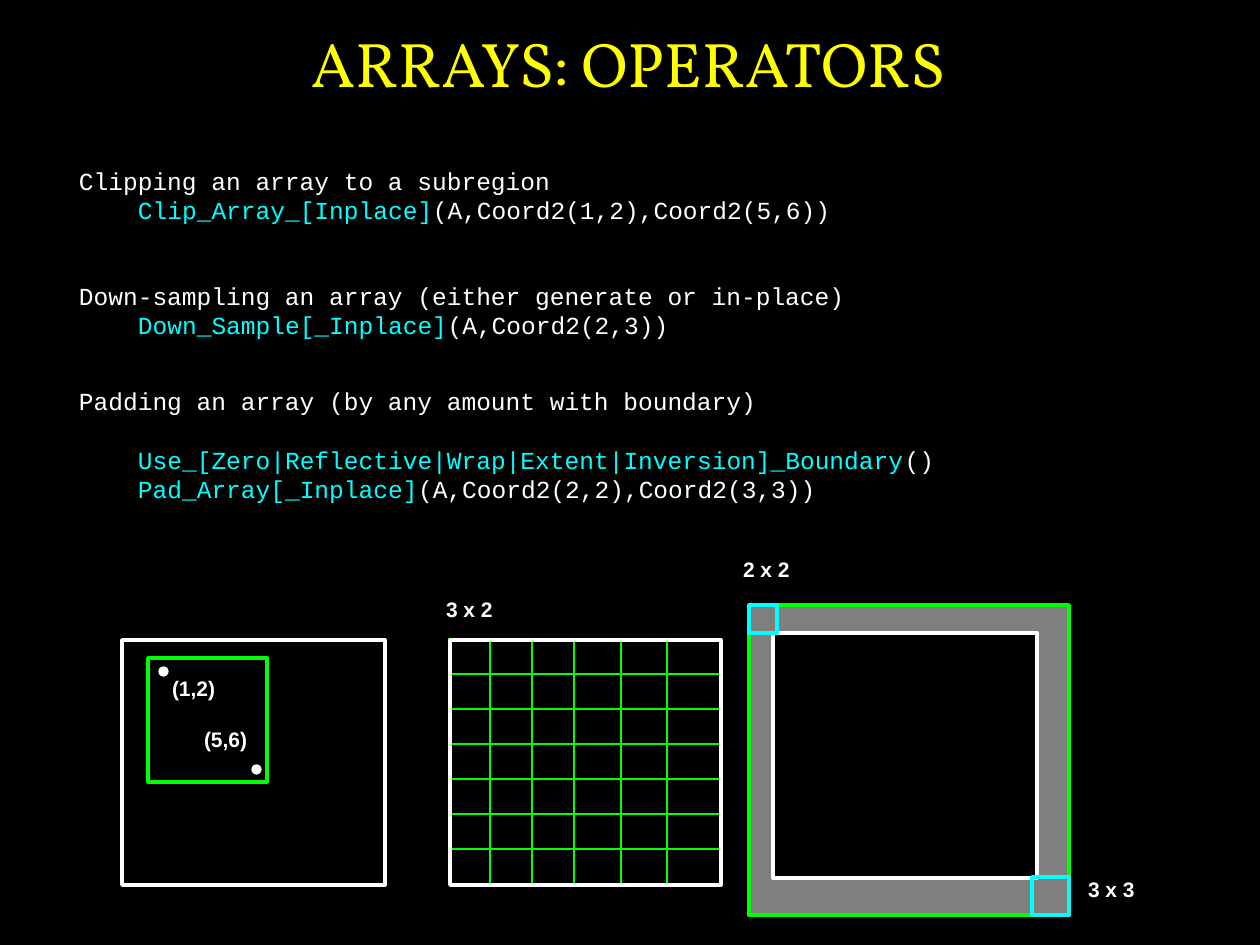
from pptx import Presentation
from pptx import util as u
from pptx.dml.color import RGBColor
from pptx.enum import shapes, text

SCALE = 914400 / 126
BLACK, WHITE, GREY = "000000", "FFFFFF", "7F7F7F"
GREEN, CYAN, YELLOW = "00FF00", "00FFFF", "FFFF00"

CODE_BLOCKS = [
    ((67, 158, 1173, 84), "Clipping an array to a subregion", 0,
     [("Clip_Array_[Inplace]", "(A,Coord2(1,2),Coord2(5,6))")]),
    ((67, 273, 1173, 116), "Down-sampling an array (either generate or in-place)", 0,
     [("Down_Sample[_Inplace]", "(A,Coord2(2,3))")]),
    ((67, 378, 1173, 189), "Padding an array (by any amount with boundary)", 16.8,
     [("Use_[Zero|Reflective|Wrap|Extent|Inversion]_Boundary", "()"),
      ("Pad_Array[_Inplace]", "(A,Coord2(2,2),Coord2(3,3))")]),
]


def px(length):
    """Turn px into EMU."""
    return u.Emu(round(length * SCALE))


def color(value):
    """Turn a hex string into a colour."""
    return RGBColor.from_string(value)


def add_run(para, words, size, font, tint, bold=False):
    """Append one formatted run to a paragraph."""
    span = para.add_run()
    span.text = words
    span.font.size, span.font.name, span.font.bold = u.Pt(size), font, bold
    span.font.color.rgb = color(tint)


def add_frame(parent, box, margins, wrap=True):
    """Add an empty text box and return its text frame."""
    frame = parent.shapes.add_textbox(*map(px, box)).text_frame
    frame.margin_left, frame.margin_top, frame.margin_right, frame.margin_bottom = map(px, margins)
    frame.word_wrap = wrap
    return frame


def add_outline(parent, box, line, fill=None, weight=2, kind=shapes.MSO_SHAPE.RECTANGLE):
    """Add an outlined shape, filled when a fill is given."""
    shape = parent.shapes.add_shape(kind, *map(px, box))
    shape.shadow.inherit = False
    shape.line.color.rgb = color(line)
    shape.line.width = u.Pt(weight)
    if fill:
        shape.fill.solid()
        shape.fill.fore_color.rgb = color(fill)
    else:
        shape.fill.background()


def add_label(parent, left, top, words):
    """Add a small bold label."""
    frame = add_frame(parent, (left, top, 58, 25), (5, 0, 5, 0), wrap=False)
    frame.auto_size = text.MSO_AUTO_SIZE.SHAPE_TO_FIT_TEXT
    add_run(frame.paragraphs[0], words, 12, "Arial", WHITE, bold=True)


def add_title(page, box, words):
    """Add the centred slide title."""
    frame = add_frame(page, box, (13, 8, 18, 8))
    frame.vertical_anchor = text.MSO_ANCHOR.MIDDLE
    para = frame.paragraphs[0]
    para.alignment = text.PP_ALIGN.CENTER
    add_run(para, words, 36, "Vollkorn", YELLOW)


def add_code(page, box, heading, gap, calls):
    """Add a heading followed by indented calls."""
    frame = add_frame(page, box, (12, 8, 18, 8))
    para = frame.paragraphs[0]
    para.line_spacing = u.Pt(16.8)
    add_run(para, heading, 14, "Courier New", WHITE)
    for index, (name, arguments) in enumerate(calls):
        para = frame.add_paragraph()
        para.line_spacing = u.Pt(16.8)
        para.space_before = u.Pt(0 if index else gap)
        para._p.get_or_add_pPr().set("marL", str(px(59)))
        add_run(para, name, 14, "Courier New", CYAN)
        add_run(para, arguments, 14, "Courier New", WHITE)


def add_clipping(page, box):
    """Draw an array with the clipped subregion and its corners."""
    left, top, width, height = box
    group = page.shapes.add_group_shape()
    add_outline(group, box, WHITE, BLACK)
    add_outline(group, (left + 26, top + 18, 119, 124), GREEN, BLACK)
    add_label(group, left + 45, top + 36, "(1,2)")
    add_label(group, left + 77, top + 87, "(5,6)")
    for across, down in ((37, 27), (130, 125)):
        add_outline(group, (left + across, top + down, 9, 9), WHITE, WHITE, 0.75,
                    shapes.MSO_SHAPE.OVAL)


def add_sampling(page, box):
    """Draw an array divided into sampling cells."""
    left, top, width, height = box
    group = page.shapes.add_group_shape()
    for row in range(7):
        for across in (0, 41, 83, 125, 172, 218):
            add_outline(group, (left - 1 + across, top - 1 + 35 * row, 53, 35), GREEN, BLACK, 1)
    add_outline(group, box, WHITE)
    add_label(group, left - 9, top - 43, "3 x 2")


def add_padding(page, box):
    """Draw an array inside its padded border."""
    left, top, width, height = box
    group = page.shapes.add_group_shape()
    add_outline(group, box, GREEN, GREY)
    add_outline(group, (left + 24, top + 28, 264, 245), WHITE, BLACK)
    add_outline(group, (left, top, 28, 28), CYAN)
    add_outline(group, (left + width - 37, top + height - 38, 37, 38), CYAN)
    add_label(group, left - 11, top - 48, "2 x 2")
    add_label(group, left + width + 14, top + height - 38, "3 x 3")


def main():
    """Build and save the slide."""
    deck = Presentation()
    deck.slide_width, deck.slide_height = px(1260), px(945)
    page = deck.slides.add_slide(deck.slide_layouts[6])
    page.background.fill.solid()
    page.background.fill.fore_color.rgb = color(BLACK)
    add_title(page, (95, 10, 1071, 105), "ARRAYS: OPERATORS")
    add_clipping(page, (122, 640, 263, 245))
    add_sampling(page, (450, 640, 271, 245))
    add_padding(page, (749, 605, 320, 310))
    for block in CODE_BLOCKS:
        add_code(page, *block)
    deck.save("out.pptx")


if __name__ == "__main__":
    main()
